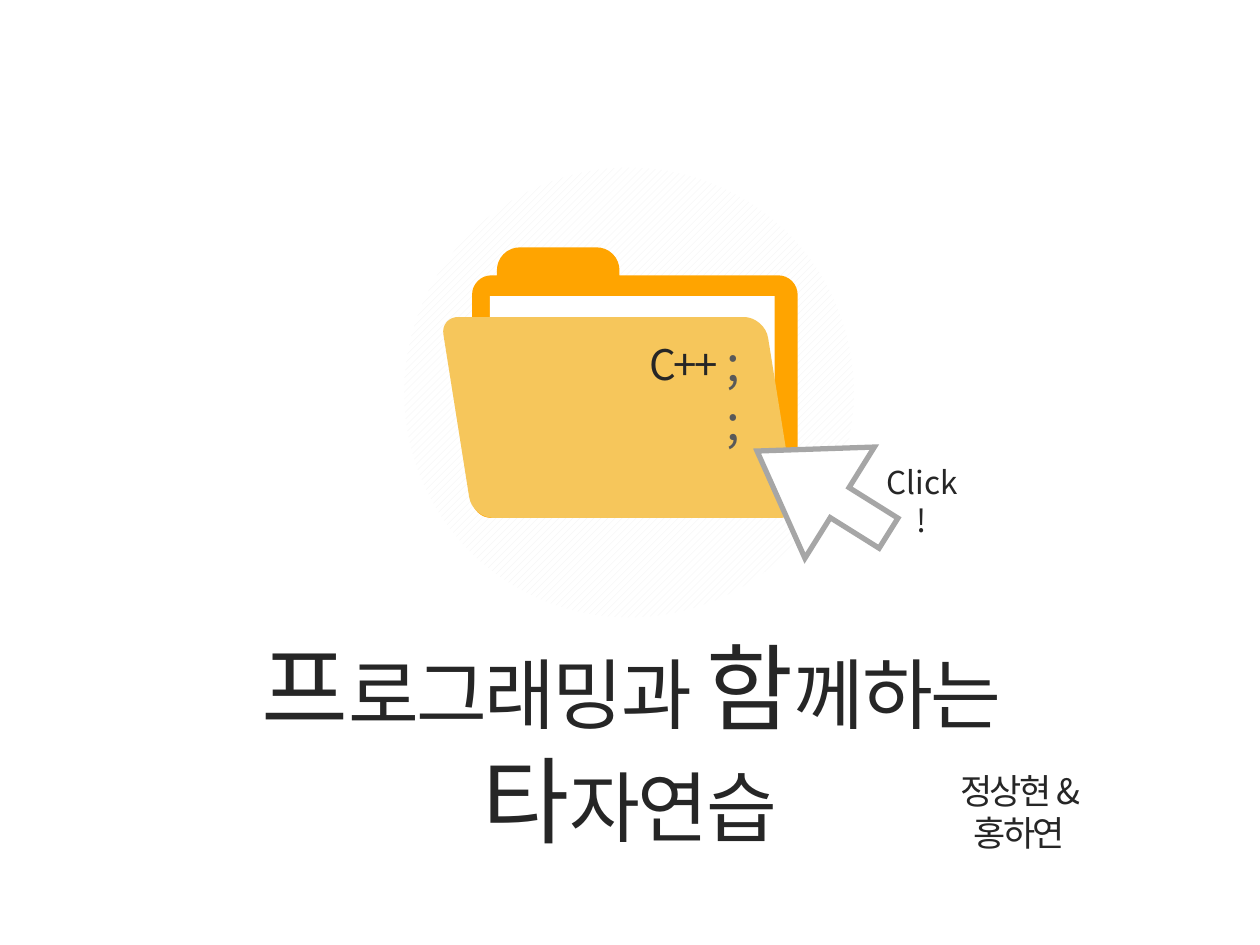
import math

import pptx
import pptx.dml.color
import pptx.enum.dml
import pptx.enum.shapes
import pptx.enum.text
import pptx.oxml.ns
import pptx.util
from pptx.util import Pt

FONT = "Noto Sans CJK KR"
INK = "262626"
SHAPE = pptx.enum.shapes.MSO_SHAPE


def rgb(value):
    """Turn a hex string into a colour."""
    return pptx.dml.color.RGBColor.from_string(value)


def paint(sp, fill, line=None, width=0):
    """Give a shape a flat fill and an optional sharp-cornered outline."""
    sp.shadow.inherit = False
    sp.fill.solid()
    sp.fill.fore_color.rgb = rgb(fill)
    if line:
        sp.line.color.rgb = rgb(line)
        sp.line.width = Pt(width)
        ln = sp.line._get_or_add_ln()
        ln.append(ln.makeelement(pptx.oxml.ns.qn("a:miter"), {"lim": "800000"}))
    else:
        sp.line.fill.background()


def rounded(corners, steps=8):
    """Round each (x, y, radius) corner of a polygon with a near-circular arc."""
    points = []
    for i, (x, y, radius) in enumerate(corners):
        if not radius:
            points.append((x, y))
            continue
        ends = []
        for nx, ny, _ in (corners[i - 1], corners[(i + 1) % len(corners)]):
            k = radius / math.hypot(nx - x, ny - y)
            ends.append((x + (nx - x) * k, y + (ny - y) * k))
        (ax, ay), (bx, by) = ends
        for step in range(steps + 1):
            t = step / steps
            a, c, b = (1 - t) ** 2, math.sqrt(2) * t * (1 - t), t * t
            total = a + b + c
            points.append(((a * ax + c * x + b * bx) / total,
                           (a * ay + c * y + b * by) / total))
    return points


def add_outline(s, corners, fill):
    """Draw a filled polygon with rounded corners."""
    points = [(Pt(x), Pt(y)) for x, y in rounded(corners)]
    builder = s.shapes.build_freeform(*points[0], scale=1.0)
    builder.add_line_segments(points[1:], close=True)
    paint(builder.convert_to_shape(), fill)


def write(sp, box, runs, color=INK, spacing=0):
    """Place a text shape and fill it with (text, size) runs."""
    sp.left, sp.top, sp.width, sp.height = map(Pt, box)
    tf = sp.text_frame
    tf.word_wrap = True
    tf.auto_size = pptx.enum.text.MSO_AUTO_SIZE.SHAPE_TO_FIT_TEXT
    tf.vertical_anchor = pptx.enum.text.MSO_ANCHOR.TOP
    p = tf.paragraphs[0]
    p.alignment = pptx.enum.text.PP_ALIGN.CENTER
    for text, size in runs:
        r = p.add_run()
        r.text = text
        r.font.size = Pt(size)
        r.font.name = FONT
        r.font.color.rgb = rgb(color)
        props = r.font._element
        props.set("spc", str(int(spacing * 100)))
        ea = props.makeelement(pptx.oxml.ns.qn("a:ea"), {"typeface": FONT})
        props.find(pptx.oxml.ns.qn("a:latin")).addnext(ea)


def add_label(s, box, text, size, color=INK, spacing=0):
    """Add a text box with a single run."""
    sp = s.shapes.add_textbox(*map(Pt, box))
    write(sp, box, [(text, size)], color, spacing)


def add_folder(s, box):
    """Draw the open folder on its hatched disc."""
    x, y, w, h = box
    disc = s.shapes.add_shape(SHAPE.OVAL, *map(Pt, box))
    disc.shadow.inherit = False
    disc.fill.patterned()
    disc.fill.pattern = pptx.enum.dml.MSO_PATTERN.WIDE_UPWARD_DIAGONAL
    disc.fill.fore_color.rgb = rgb("F2F2F2")
    disc.fill.back_color.rgb = rgb("FFFFFF")
    disc.line.fill.background()

    left, right, top, bottom = x + 38.8, x + 224.8, y + 61.6, y + 200.2
    tab_left, tab_right, tab_top = x + 53, x + 123, y + 45.6
    add_outline(s, [
        (left, top, 11), (tab_left, top, 0), (tab_left, tab_top, 13),
        (tab_right, tab_top, 13), (tab_right, top, 0), (right, top, 11),
        (right, bottom, 11), (left, bottom, 11)], "FFA400")
    paper = s.shapes.add_shape(SHAPE.RECTANGLE, Pt(x + 49), Pt(y + 73.4), Pt(162.7), Pt(110))
    paint(paper, "FFFFFF")
    front = y + 85.4
    add_outline(s, [
        (x + 20.8, front, 10), (x + 206, front, 12),
        (x + 224.5, bottom, 10), (x + 39, bottom, 12)], "F6C65B")


def add_pointer(s, box):
    """Draw the mouse pointer as a turned arrow."""
    sp = s.shapes.add_shape(SHAPE.DOWN_ARROW, *map(Pt, box))
    sp.adjustments[0] = 0.271
    sp.adjustments[1] = 0.743
    sp.rotation = 122
    paint(sp, "FFFFFF", "A6A6A6", 3)


def main():
    """Build the cover slide and save it."""
    prs = pptx.Presentation()
    prs.slide_width, prs.slide_height = Pt(720), Pt(540)
    s = prs.slides.add_slide(prs.slide_layouts[5])
    add_folder(s, (231, 95.8, 257, 257))
    write(s.shapes.title, (70, 355.7, 580, 137.7), [
        ("프", 54), ("로그래밍과 ", 44), ("함", 54),
        ("께하는 ", 44), ("타", 54), ("자연습", 44)], spacing=-1.5)
    add_label(s, (514, 436.3, 136.8, 31.7), "정상현 & 홍하연", 20, spacing=-1.5)
    add_pointer(s, (432.7, 236.9, 74.9, 88.6))
    add_label(s, (497.3, 261, 59, 28.8), "Click!", 18)
    add_label(s, (404.3, 186.5, 29.5, 41), ";;", 28, "595959")
    add_label(s, (342, 190, 97.2, 36), "C++", 24, spacing=-1.5)
    prs.save("out.pptx")


if __name__ == "__main__":
    main()
